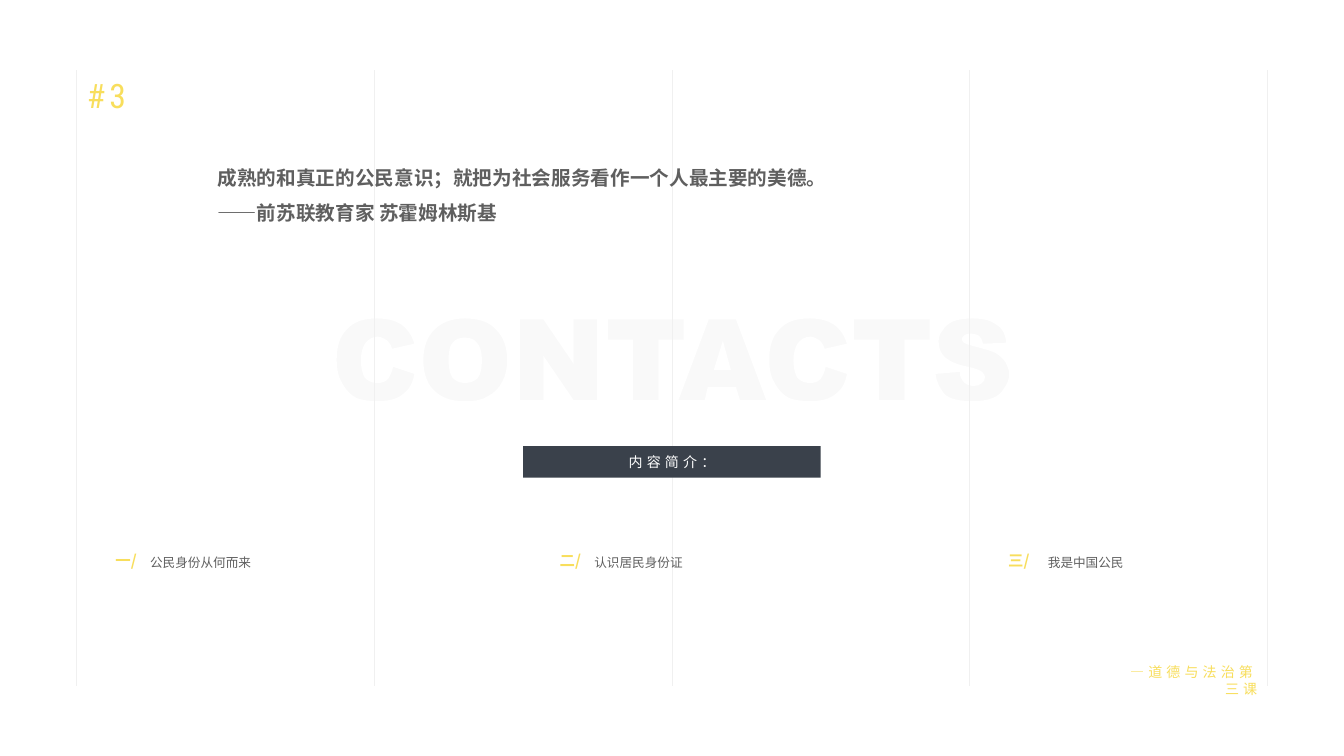
from dataclasses import dataclass

from lxml import etree
from pptx import Presentation
from pptx import util as u
from pptx.dml.color import RGBColor
from pptx.enum import shapes, text
from pptx.oxml.ns import qn
from pptx.slide import Slide

# Colours and fonts
YELLOW = RGBColor(0xF8, 0xDE, 0x5C)
GREY = RGBColor(0x5F, 0x5F, 0x5F)
SLATE = RGBColor(0x3A, 0x41, 0x4B)
WHITE = RGBColor(0xFF, 0xFF, 0xFF)
PALE = RGBColor(0xF9, 0xF9, 0xF9)
RULE = RGBColor(0xF0, 0xF0, 0xF0)
NOTO = "Noto Sans CJK SC"
ROBOTO = "Roboto Condensed"

# Grid of 100 columns by 100 rows
WIDTH, HEIGHT = u.Inches(13.33), u.Inches(7.5)
LEFT, RIGHT, TOP, BOTTOM = 5.72, 94.28, 9.3, 90.7
PANELS = 4
PITCH = (RIGHT - LEFT) / PANELS

LEFT_ALIGN = text.PP_ALIGN.LEFT
CENTER = text.PP_ALIGN.CENTER
RIGHT_ALIGN = text.PP_ALIGN.RIGHT

# Letter outlines in hundredths of an inch: M moves, L draws a line, C a curve, Z closes
GLYPHS = {
    "C": "M 40 0 C 27 0 17 3 10 11 C 3 18 0 28 0 41 C 0 51 2 59 6 65 "
         "C 10 72 14 76 20 79 C 25 81 33 82 41 82 C 48 82 54 81 59 79 "
         "C 64 77 67 74 71 70 C 74 66 76 61 77 55 L 56 48 C 55 53 53 57 51 60 "
         "C 48 63 45 64 40 64 C 35 64 31 62 28 59 C 26 56 24 50 24 41 "
         "C 24 34 26 28 28 25 C 31 21 35 18 41 18 C 43 18 45 19 47 20 "
         "C 49 21 51 22 52 24 C 53 25 54 27 55 30 L 77 25 "
         "C 74 16 70 10 64 6 C 58 2 50 0 40 0 Z",
    "O": "M 41 0 C 28 0 18 4 11 11 C 4 18 0 28 0 41 C 0 51 2 58 5 64 "
         "C 9 71 14 75 20 78 C 26 81 33 82 42 82 C 51 82 58 81 64 77 "
         "C 70 74 75 69 78 63 C 81 58 83 50 83 41 C 83 28 79 18 72 11 "
         "C 65 3 54 0 41 0 Z M 41 19 C 46 19 50 20 53 24 C 56 27 58 33 58 40 "
         "C 58 49 57 55 54 59 C 51 62 47 64 41 64 C 36 64 32 62 29 59 "
         "C 26 55 25 49 25 41 C 25 33 26 27 29 24 C 32 20 36 19 41 19 Z",
    "N": "M 0 1 L 0 81 L 23 81 L 23 37 L 53 81 L 76 81 L 76 1 L 53 1 L 53 45 L 23 1 Z",
    "T": "M 0 1 L 0 21 L 25 21 L 25 81 L 50 81 L 50 21 L 75 21 L 75 1 Z",
    "A": "M 30 1 L 0 81 L 26 81 L 29 68 L 57 68 L 61 81 L 87 81 L 57 1 Z "
         "M 44 22 L 52 51 L 35 51 Z",
    "S": "M 37 0 C 29 0 22 1 17 3 C 13 5 9 8 7 12 C 4 15 3 19 3 23 "
         "C 3 29 5 35 10 39 C 15 43 22 46 33 48 C 40 50 44 51 46 53 "
         "C 48 55 49 56 49 58 C 49 61 48 63 46 64 C 44 66 41 67 38 67 "
         "C 33 67 29 65 27 62 C 25 60 24 57 24 53 L 0 55 C 1 63 4 69 9 75 "
         "C 14 80 24 82 37 82 C 45 82 51 81 56 79 C 62 77 65 74 68 69 "
         "C 71 65 73 60 73 55 C 73 51 71 47 69 43 C 67 40 64 37 59 34 "
         "C 55 32 47 30 36 27 C 32 26 29 25 28 24 C 27 23 26 22 26 21 "
         "C 26 19 27 18 28 17 C 30 15 32 15 35 15 C 38 15 41 16 43 17 "
         "C 45 19 46 21 47 25 L 70 24 C 69 15 66 9 60 6 C 55 2 47 0 37 0 Z",
}
COMMANDS = {"M": "a:moveTo", "L": "a:lnTo", "C": "a:cubicBezTo", "Z": "a:close"}
LETTER_TOP = 316
LETTER_LEFTS = (334, 420, 516, 603, 673, 763, 847, 928)


@dataclass(frozen=True)
class Label:
    wording: str
    column: float
    row: float
    columns: float
    rows: float
    size: float
    color: RGBColor
    font: str = NOTO
    bold: bool = False
    align: text.PP_ALIGN = LEFT_ALIGN
    tracking: int = 0
    line_spacing: float = 1.0
    fill: RGBColor | None = None


@dataclass(frozen=True)
class Topic:
    number: str
    title: str
    column: float
    number_columns: float = 4.65


LABELS = [
    Label("#3", LEFT, TOP, 6.22, 6.67, 24, YELLOW, ROBOTO, tracking=3),
    Label("成熟的和真正的公民意识；就把为社会服务看作一个人最主要的美德。 ——前苏联教育家 苏霍姆林斯基",
          15.46, 19.73, 46.9, 10.27, 14, GREY, bold=True, line_spacing=1.5),
    Label("内容简介：", 50 - PITCH / 2, 59.03, PITCH, 4.16, 10, WHITE,
          align=CENTER, tracking=3, fill=SLATE),
    Label("—道德与法治第三课", RIGHT - 11.1, 87.07, 11.1, 5.87, 10, YELLOW, ROBOTO,
          align=RIGHT_ALIGN, tracking=3),
]
TOPICS = [
    Topic("一/", "公民身份从何而来", 7.06),
    Topic("二/", "认识居民身份证", 40.11),
    Topic("三/", "我是中国公民", 73.11, 5.4),
]


def across(columns: float) -> u.Emu:
    return u.Emu(round(WIDTH * columns / 100))


def down(rows: float) -> u.Emu:
    return u.Emu(round(HEIGHT * rows / 100))


def add_letter(outline: etree._Element, letter: str, left: int) -> None:
    """Append one letter's lines and curves to the outline."""
    step = outline
    values: list[str] = []
    for token in GLYPHS[letter].split():
        if token in COMMANDS:
            step = etree.SubElement(outline, qn(COMMANDS[token]))
            continue
        values.append(token)
        if len(values) == 2:
            x, y = (int(value) for value in values)
            point = etree.SubElement(step, qn("a:pt"))
            point.set("x", str(u.Inches((left + x) / 100)))
            point.set("y", str(u.Inches((LETTER_TOP + y) / 100)))
            values.clear()


def add_cutout_panel(slide: Slide) -> None:
    builder = slide.shapes.build_freeform(0, 0)
    builder.add_line_segments([(WIDTH, 0), (WIDTH, HEIGHT), (0, HEIGHT)], close=True)
    shape = builder.convert_to_shape()
    outline = next(shape._element.iter(qn("a:path")))
    for letter, left in zip("CONTACTS", LETTER_LEFTS):
        add_letter(outline, letter, left)
    shape.shadow.inherit = False
    shape.fill.solid()
    shape.fill.fore_color.rgb = WHITE
    shape.line.fill.background()


def add_rule(slide: Slide, column: float) -> None:
    rule = slide.shapes.add_connector(shapes.MSO_CONNECTOR.STRAIGHT, across(column), down(TOP),
                                      across(column), down(BOTTOM))
    rule.line.color.rgb = RULE
    rule.line.width = u.Pt(0.5)
    etree.SubElement(rule._element.spPr, qn("a:effectLst"))


def add_label(slide: Slide, label: Label) -> None:
    box = (across(label.column), down(label.row), across(label.columns), down(label.rows))
    if label.fill is None:
        shape = slide.shapes.add_textbox(*box)
    else:
        shape = slide.shapes.add_shape(shapes.MSO_SHAPE.RECTANGLE, *box)
        shape.shadow.inherit = False
        shape.fill.solid()
        shape.fill.fore_color.rgb = label.fill
        shape.line.fill.background()
        shape.text_frame.vertical_anchor = text.MSO_ANCHOR.MIDDLE
    shape.text_frame.word_wrap = True
    paragraph = shape.text_frame.paragraphs[0]
    paragraph.alignment = label.align
    paragraph.line_spacing = label.line_spacing
    run = paragraph.add_run()
    run.text = label.wording
    formats = {"name": label.font, "size": u.Pt(label.size), "bold": label.bold}
    for attribute, value in formats.items():
        setattr(run.font, attribute, value)
    run.font.color.rgb = label.color
    properties = run._r.get_or_add_rPr()
    properties.set("spc", str(label.tracking * 100))
    etree.SubElement(properties, qn("a:ea")).set("typeface", NOTO)


def main() -> None:
    presentation = Presentation()
    presentation.slide_width, presentation.slide_height = WIDTH, HEIGHT
    slide = presentation.slides.add_slide(presentation.slide_layouts[6])

    # Pale background seen through the letters of the white panel
    slide.background.fill.solid()
    slide.background.fill.fore_color.rgb = PALE
    add_cutout_panel(slide)

    # Vertical rules
    for index in range(PANELS + 1):
        add_rule(slide, LEFT + index * PITCH)

    # Heading, quotation, banner and footer
    for label in LABELS:
        add_label(slide, label)

    # Numbered topics
    for topic in TOPICS:
        title_column = topic.column + topic.number_columns - 1.28
        add_label(slide, Label(topic.title, title_column, 72.73, 15.68, 3.33, 9, GREY))
        add_label(slide, Label(topic.number, topic.column, 72.27, topic.number_columns, 3.87,
                               11, YELLOW, bold=True, align=CENTER))

    presentation.save("out.pptx")


if __name__ == "__main__":
    main()
